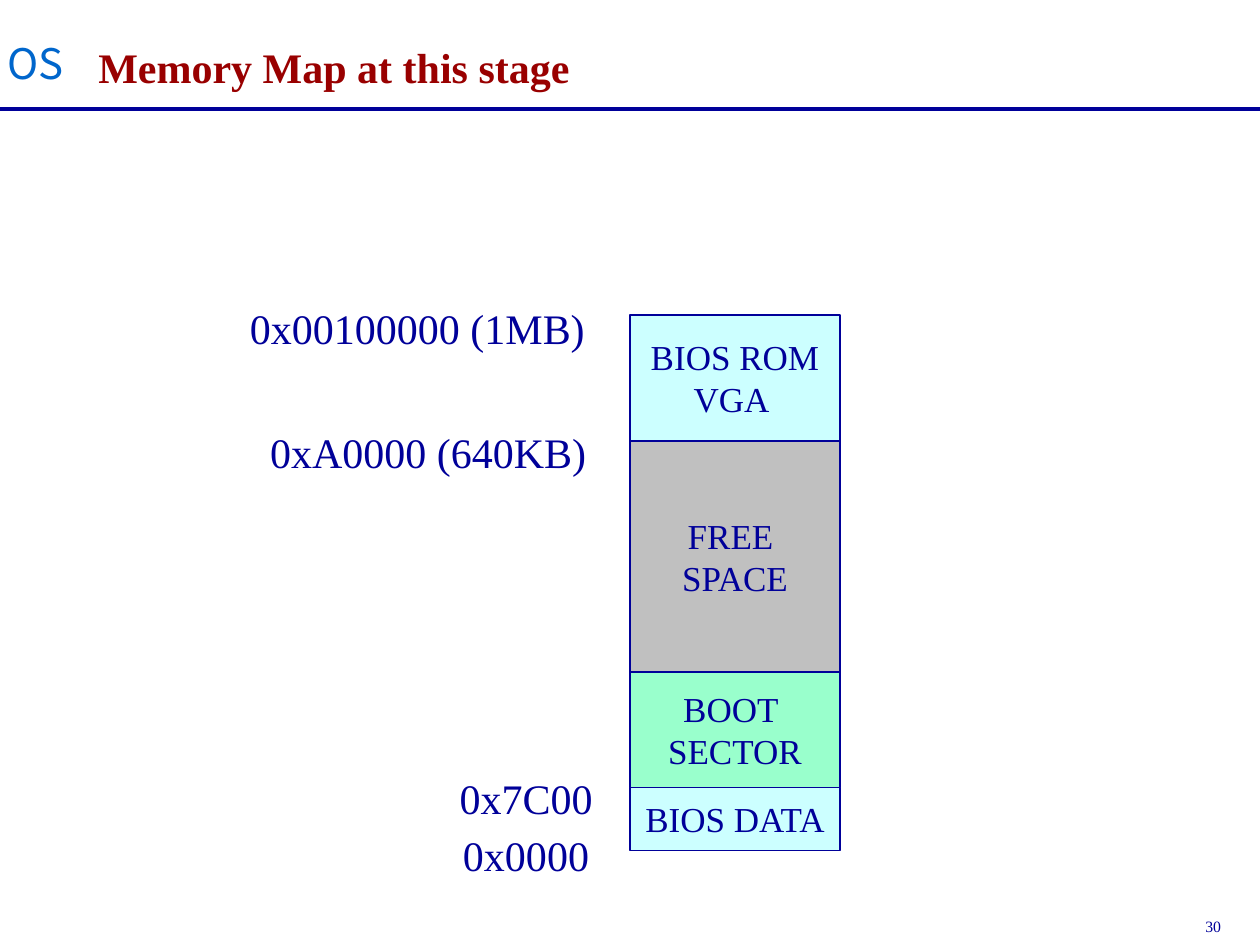
from pptx import Presentation
from pptx.dml.color import RGBColor
from pptx.enum.shapes import MSO_CONNECTOR, MSO_SHAPE
from pptx.enum.text import MSO_ANCHOR, PP_ALIGN
from pptx.oxml.ns import qn
from pptx.util import Pt
from lxml import etree

RECT = MSO_SHAPE.RECTANGLE
STRAIGHT = MSO_CONNECTOR.STRAIGHT
LEFT, CENTER = PP_ALIGN.LEFT, PP_ALIGN.CENTER
TOP, MIDDLE, BOTTOM = MSO_ANCHOR.TOP, MSO_ANCHOR.MIDDLE, MSO_ANCHOR.BOTTOM

SERIF, SANS = "Times New Roman", "Noto Sans CJK SC"
NAVY, RED, BLUE = "000099", "990000", "0066CC"
CYAN, GRAY, GREEN = "CCFFFF", "C0C0C0", "99FFCC"

SLIDE_W, SLIDE_H = 720, 540
MAP_LEFT, MAP_TOP, MAP_W = 360, 180, 120

# Memory regions from the highest address down: lines, height, fill
REGIONS = [
    (["BIOS ROM", "VGA "], 72, CYAN),
    (["FREE ", "SPACE"], 132, GRAY),
    (["BOOT ", "SECTOR"], 66, GREEN),
    (["BIOS DATA"], 36, CYAN),
]

# Address labels: text, left, top, width
ADDRESSES = [
    ("0x00100000 (1MB)", 135.7, 169.4, 212),
    ("0xA0000 (640KB)", 147.2, 240, 201),
    ("0x7C00", 255.5, 438, 96),
    ("0x0000", 257.5, 470.4, 92),
]


def rgb(value):
    return RGBColor.from_string(value)


def write(tf, lines, size, color=NAVY, font=SERIF, bold=False,
          align=LEFT, anchor=TOP, wrap=False):
    tf.word_wrap = wrap
    tf.vertical_anchor = anchor
    for i, line in enumerate(lines):
        p = tf.add_paragraph() if i else tf.paragraphs[0]
        p.alignment = align
        r = p.add_run()
        r.text = line
        r.font.size = Pt(size)
        r.font.name = font
        r.font.bold = bold
        r.font.color.rgb = rgb(color)
        # East Asian typeface follows the Latin one
        etree.SubElement(r.font._element, qn("a:ea"), typeface=font)


def add_title(s, text):
    sp = s.shapes.title
    sp.left, sp.top, sp.width, sp.height = Pt(49), Pt(8.4), Pt(626), Pt(47.5)
    write(sp.text_frame, [text], 24, RED, bold=True, anchor=BOTTOM, wrap=True)


def add_label(s, text, left, top, width, height, size, inset=7.2, **style):
    sp = s.shapes.add_textbox(Pt(left), Pt(top), Pt(width), Pt(height))
    tf = sp.text_frame
    tf.margin_left = tf.margin_right = Pt(inset)
    write(tf, [text], size, **style)


def add_rule(s, y):
    line = s.shapes.add_connector(STRAIGHT, Pt(0), Pt(y), Pt(SLIDE_W), Pt(y))
    line.line.color.rgb = rgb(NAVY)
    line.line.width = Pt(2.25)
    etree.SubElement(line._element.spPr, qn("a:effectLst"))


def add_region(s, lines, top, height, fill):
    sp = s.shapes.add_shape(RECT, Pt(MAP_LEFT), Pt(top), Pt(MAP_W), Pt(height))
    sp.shadow.inherit = False
    sp.fill.solid()
    sp.fill.fore_color.rgb = rgb(fill)
    sp.line.color.rgb = rgb(NAVY)
    sp.line.width = Pt(0.75)
    write(sp.text_frame, lines, 20, align=CENTER, anchor=MIDDLE)


def main():
    prs = Presentation()
    prs.slide_width, prs.slide_height = Pt(SLIDE_W), Pt(SLIDE_H)
    s = prs.slides.add_slide(prs.slide_layouts[5])

    # Header and page number
    add_rule(s, 62.2)
    add_label(s, "OS", 4.35, 18, 36, 19.5, 24, inset=0, color=BLUE, font=SANS)
    add_title(s, "Memory Map at this stage")
    add_label(s, "30", 681.7, 520.5, 52, 18, 9)

    # Memory map, stacked downwards
    top = MAP_TOP
    for lines, height, fill in REGIONS:
        add_region(s, lines, top, height, fill)
        top += height

    # Addresses beside the map
    for text, left, y, width in ADDRESSES:
        add_label(s, text, left, y, width, 36, 24)

    prs.save("out.pptx")


if __name__ == "__main__":
    main()
